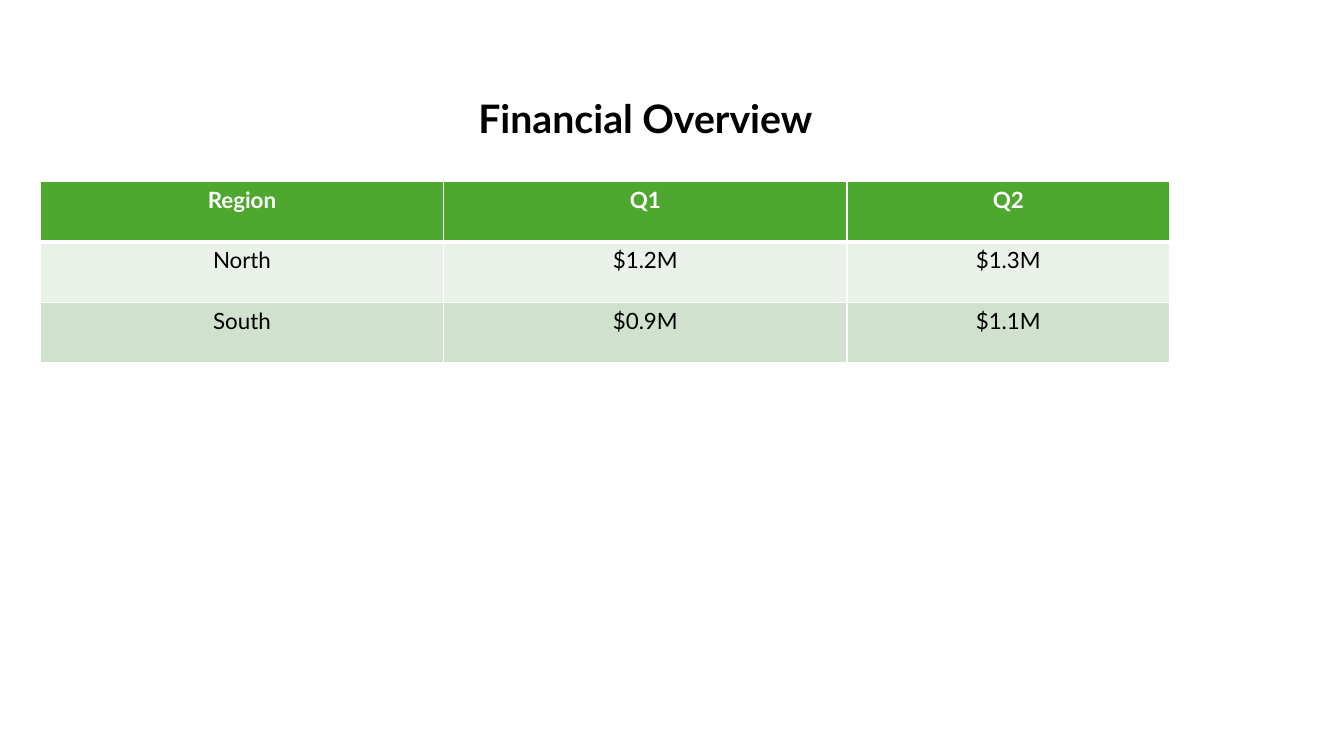
from dataclasses import dataclass

from lxml import etree
from pptx import Presentation
from pptx.dml.color import RGBColor
from pptx.enum import text as t
from pptx.oxml import ns
from pptx.util import Inches, Pt


@dataclass(frozen=True)
class Theme:
    font: str = "Lato"
    ink: str = "000000"
    white: str = "FFFFFF"
    header: str = "4EA72E"
    bands: tuple = ("E9F1E8", "D0E1CD")
    title_size: int = 28
    table_size: int = 16
    rule: int = 1
    header_rule: int = 3


THEME = Theme()
ROWS = [
    ("Region", "Q1", "Q2"),
    ("North", "$1.2M", "$1.3M"),
    ("South", "$0.9M", "$1.1M"),
]
COLUMN_WIDTHS = (4, 4, 3.2)


def write(tf, words, size, color, bold):
    p = tf.paragraphs[0]
    p.alignment = t.PP_ALIGN.CENTER
    r = p.add_run()
    r.text = words
    for name, value in {"name": THEME.font, "size": Pt(size), "bold": bold}.items():
        setattr(r.font, name, value)
    r.font.color.rgb = RGBColor.from_string(color)


def set_borders(cell, widths):
    """Draw white cell edges; widths maps L, R, T, B (in that order) to points."""
    tc_pr = cell._tc.get_or_add_tcPr()
    for i, (side, width) in enumerate(widths.items()):
        ln = etree.Element(ns.qn(f"a:ln{side}"), w=str(Pt(width)))
        fill = etree.SubElement(ln, ns.qn("a:solidFill"))
        etree.SubElement(fill, ns.qn("a:srgbClr"), val=THEME.white)
        tc_pr.insert(i, ln)


def add_title(s, words, left, top, width, height):
    sp = s.shapes.title
    box = {"left": left, "top": top, "width": width, "height": height}
    for name, value in box.items():
        setattr(sp, name, Inches(value))
    tf = sp.text_frame
    layout = {
        "word_wrap": True,
        "auto_size": t.MSO_AUTO_SIZE.NONE,
        "vertical_anchor": t.MSO_ANCHOR.MIDDLE,
    }
    for name, value in layout.items():
        setattr(tf, name, value)
    write(tf, words, THEME.title_size, THEME.ink, True)


def style_cell(cell, words, row):
    is_header = row == 0
    fill = THEME.header if is_header else THEME.bands[(row - 1) % 2]
    cell.fill.solid()
    cell.fill.fore_color.rgb = RGBColor.from_string(fill)
    for side in ("left", "right", "top", "bottom"):
        setattr(cell, f"margin_{side}", Inches(0.05))
    write(cell.text_frame, words, THEME.table_size,
          THEME.white if is_header else THEME.ink, is_header)
    set_borders(cell, {
        "L": THEME.rule,
        "R": THEME.rule,
        "T": THEME.header_rule if row == 1 else THEME.rule,
        "B": THEME.header_rule if is_header else THEME.rule,
    })


def add_finance_table(s, rows, left, top, height):
    box = [Inches(v) for v in (left, top, sum(COLUMN_WIDTHS), height)]
    table = s.shapes.add_table(len(rows), len(COLUMN_WIDTHS), *box).table
    for column, width in zip(table.columns, COLUMN_WIDTHS):
        column.width = Inches(width)
    for i, row in enumerate(rows):
        table.rows[i].height = Inches(height / len(rows))
        for j, words in enumerate(row):
            style_cell(table.cell(i, j), words, i)


def main():
    prs = Presentation()
    prs.slide_width, prs.slide_height = Inches(13.33), Inches(7.5)
    s = prs.slides.add_slide(prs.slide_layouts.get_by_name("Title Only"))
    add_title(s, "Financial Overview", 0.4, 0.67, 12, 1)
    add_finance_table(s, ROWS, 0.4, 1.8, 1.8)
    prs.save("out.pptx")


if __name__ == "__main__":
    main()
